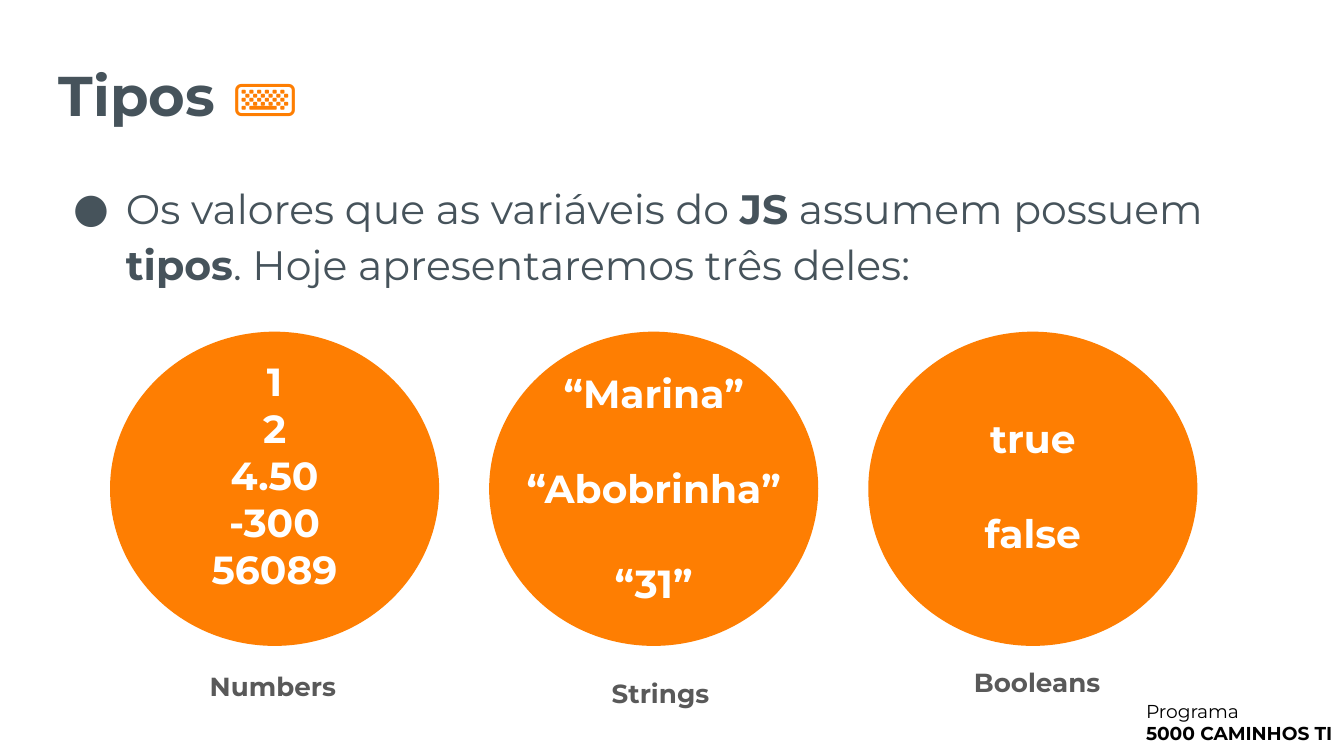
from dataclasses import dataclass

from lxml.etree import SubElement
from pptx import Presentation
from pptx.dml.color import RGBColor
from pptx.enum.shapes import MSO_SHAPE as Shape
from pptx.enum.text import MSO_ANCHOR as Anchor, MSO_AUTO_SIZE as AutoSize, PP_ALIGN as Align
from pptx.oxml.ns import qn
from pptx.util import Cm, Pt


@dataclass(frozen=True)
class Theme:
    """Colours, fonts and type sizes of the slide."""
    ink: str = "46535B"
    accent: str = "FE7E02"
    caption: str = "595959"
    white: str = "FFFFFF"
    black: str = "000000"
    font: str = "Montserrat"
    icon_font: str = "Arial"
    title_size: float = 30
    icon_size: float = 34
    body_size: float = 22
    value_size: float = 21
    caption_size: float = 14
    footer_size: float = 10


@dataclass(frozen=True)
class Box:
    """A rectangle in centimetres."""
    left: float
    top: float
    width: float
    height: float

    def lengths(self):
        """Return the four lengths that python-pptx expects."""
        return Cm(self.left), Cm(self.top), Cm(self.width), Cm(self.height)


@dataclass(frozen=True)
class TypeExample:
    """One data type with its sample values and the place of its texts."""
    name: str
    values: tuple
    gap: float
    values_top: float
    values_width: float
    values_height: float
    caption_shift: float
    caption_top: float


THEME = Theme()
LINE_GAP = 25.6
TYPES = (
    TypeExample("Numbers", ("1", "2", "4.50", "-300", "56089"), 0, 0.23, 4.39, 5, -0.03, 6.15),
    TypeExample("Strings", ("“Marina”", "“Abobrinha”", "“31”"), LINE_GAP, 0.46, 5.46, 5, 0.13, 6.28),
    TypeExample("Booleans", ("true", "false"), LINE_GAP, 1.32, 4.39, 3.2, 0.08, 6.07),
)


def style_run(run, size, color, bold=False, font=THEME.font):
    """Format one run."""
    run.font.name = font
    run.font.size = Pt(size)
    run.font.bold = bold
    run.font.color.rgb = RGBColor.from_string(color)


def prepare_frame(frame, anchor=Anchor.TOP):
    """Give a text frame even margins, wrapping and an anchor."""
    frame.word_wrap = True
    frame.auto_size = AutoSize.NONE
    frame.vertical_anchor = anchor
    frame.margin_left = frame.margin_right = Cm(0.25)
    frame.margin_top = frame.margin_bottom = Cm(0.25)


def place(placeholder, box):
    """Move a placeholder to a box."""
    (placeholder.left, placeholder.top,
     placeholder.width, placeholder.height) = box.lengths()


def add_lines(slide, box, lines, size, color, bolds, align=Align.CENTER, gap=0):
    """Add a text box with one paragraph per line."""
    frame = slide.shapes.add_textbox(*box.lengths()).text_frame
    prepare_frame(frame)
    frame.text = "\n".join(lines)
    for number, (line, bold) in enumerate(zip(frame.paragraphs, bolds)):
        line.alignment = align
        line.space_before = Pt(gap if number else 0)
        style_run(line.runs[0], size, color, bold)


def add_heading(slide, box):
    """Fill the title placeholder with the heading and its keyboard icon."""
    heading = slide.shapes.title
    place(heading, box)
    prepare_frame(heading.text_frame, Anchor.MIDDLE)
    line = heading.text_frame.paragraphs[0]
    line.alignment = Align.LEFT
    word, icon = line.add_run(), line.add_run()
    word.text, icon.text = "Tipos ", "⌨️"
    style_run(word, THEME.title_size, THEME.ink, True)
    style_run(icon, THEME.icon_size, THEME.accent, font=THEME.icon_font)


def add_intro(slide, box):
    """Fill the body placeholder with the bulleted introduction."""
    intro = slide.placeholders[1]
    place(intro, box)
    prepare_frame(intro.text_frame)
    line = intro.text_frame.paragraphs[0]
    line.alignment = Align.LEFT
    line.line_spacing = 1.15
    line.space_before, line.space_after = Pt(0), Pt(10)
    pieces = (("Os valores que as variáveis do ", False), ("JS", True),
              (" assumem possuem ", False), ("tipos", True),
              (". Hoje apresentaremos três deles:", False))
    for words, bold in pieces:
        run = line.add_run()
        run.text = words
        style_run(run, THEME.body_size, THEME.ink, bold)
    properties = line._p.get_or_add_pPr()
    properties.set("marL", str(Cm(1.27)))
    properties.set("indent", str(Cm(-1)))
    bullet_color = SubElement(properties, qn("a:buClr"))
    SubElement(bullet_color, qn("a:srgbClr"), val=THEME.ink)
    SubElement(properties, qn("a:buFont"), typeface=THEME.font)
    SubElement(properties, qn("a:buChar"), char="●")


def add_type_circle(slide, box):
    """Draw the circle behind the sample values."""
    circle = slide.shapes.add_shape(Shape.OVAL, *box.lengths())
    circle.shadow.inherit = False
    circle.fill.solid()
    circle.fill.fore_color.rgb = RGBColor.from_string(THEME.accent)
    circle.line.fill.background()


def add_type(slide, box, example):
    """Place the circle, sample values and caption of one data type."""
    add_type_circle(slide, box)
    center = box.left + box.width / 2
    values_box = Box(center - example.values_width / 2, box.top + example.values_top,
                     example.values_width, example.values_height)
    add_lines(slide, values_box, example.values, THEME.value_size, THEME.white,
              [True] * len(example.values), gap=example.gap)
    caption_width = 4.95
    caption_box = Box(center - caption_width / 2 + example.caption_shift,
                      box.top + example.caption_top, caption_width, 1.12)
    add_lines(slide, caption_box, [example.name], THEME.caption_size, THEME.caption, [True])


def add_types(slide, box):
    """Spread the data types evenly across a box."""
    width = 6.22
    pitch = (box.width - width) / (len(TYPES) - 1)
    for column, example in enumerate(TYPES):
        add_type(slide, Box(box.left + column * pitch, box.top, width, box.height), example)


def add_footer(slide, box):
    """Add the name of the programme in the corner."""
    add_lines(slide, box, ("Programa", "5000 CAMINHOS TI"), THEME.footer_size,
              THEME.black, (False, True), Align.LEFT)


def main():
    """Build and save the slide."""
    deck = Presentation()
    deck.slide_width, deck.slide_height = Cm(25.4), Cm(14.29)
    slide = deck.slides.add_slide(deck.slide_layouts[1])
    add_footer(slide, Box(21.41, 12.98, 4.42, 1.37))
    add_heading(slide, Box(0.86, 0.36, 21.77, 2.72))
    add_intro(slide, Box(0.86, 3.07, 22.66, 2.87))
    add_types(slide, Box(2.08, 6.27, 20.55, 5.94))
    deck.save("out.pptx")


if __name__ == "__main__":
    main()
